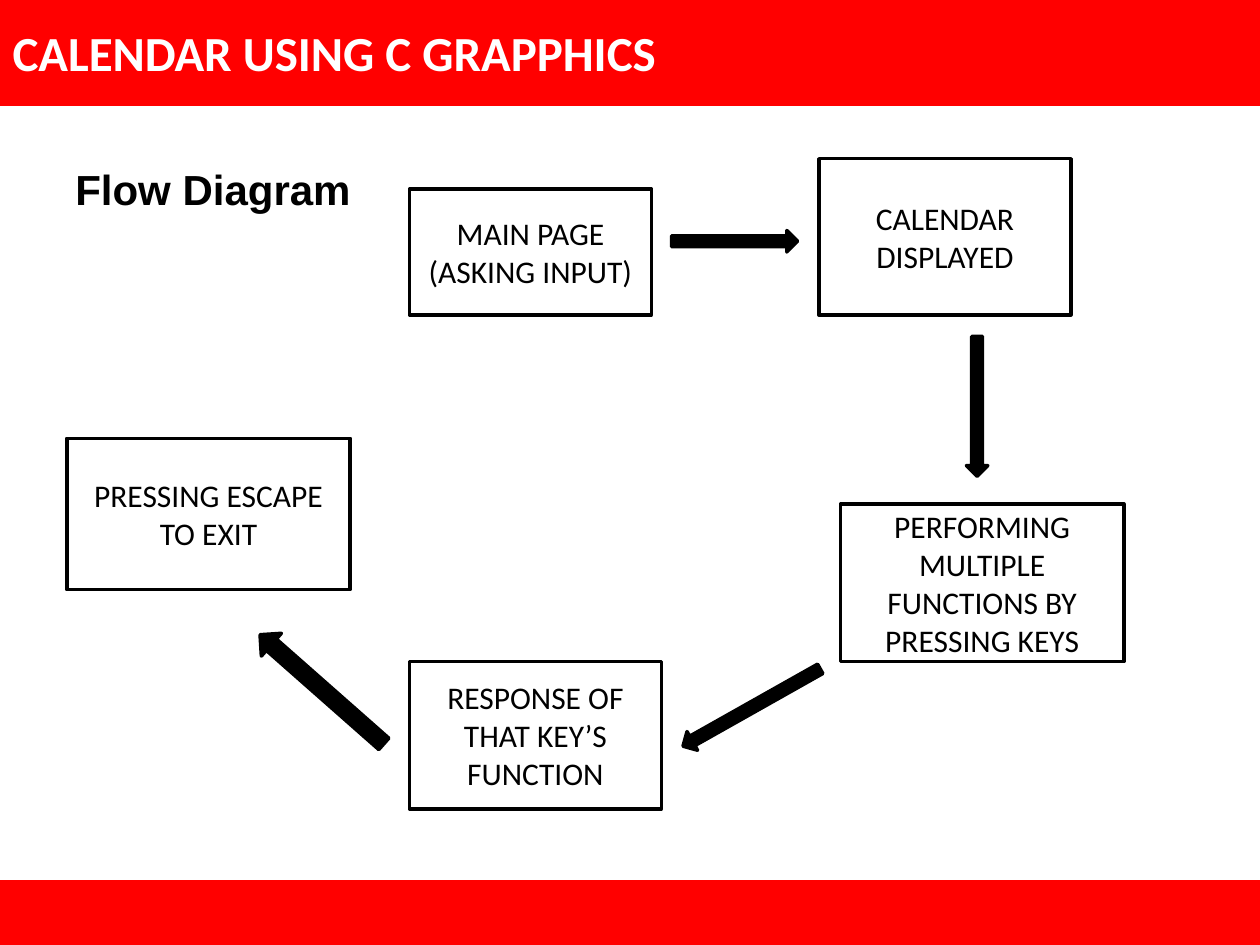
from pptx import Presentation
from pptx.dml.color import RGBColor
from pptx.enum.shapes import MSO_SHAPE
from pptx.enum.text import MSO_ANCHOR, MSO_AUTO_SIZE, PP_ALIGN
from pptx.util import Inches, Pt

RED, BLACK, WHITE = "FF0000", "000000", "FFFFFF"


def rgb(value):
    return RGBColor.from_string(value)


def write(tf, text, size=18, font="Calibri", color=BLACK, bold=False,
          align=PP_ALIGN.CENTER, anchor=MSO_ANCHOR.MIDDLE):
    tf.word_wrap = True
    tf.auto_size = MSO_AUTO_SIZE.NONE
    tf.vertical_anchor = anchor
    for i, line in enumerate(text.split("\n")):
        p = tf.add_paragraph() if i else tf.paragraphs[0]
        p.alignment = align
        r = p.add_run()
        r.text = line
        r.font.name, r.font.size, r.font.bold = font, Pt(size), bold
        r.font.color.rgb = rgb(color)


class FlowSlide:
    """Draws the elements of a flow diagram on one slide in a shared style."""

    def __init__(self, prs, line_width=2):
        self.s = prs.slides.add_slide(prs.slide_layouts[5])
        self.line_width = line_width

    def paint(self, sp, fill, line):
        sp.fill.solid()
        sp.fill.fore_color.rgb = rgb(fill)
        sp.line.color.rgb = rgb(line)
        sp.line.width = Pt(self.line_width)

    def shape(self, kind, box, fill, line):
        sp = self.s.shapes.add_shape(kind, *map(Inches, box))
        sp.shadow.inherit = False
        self.paint(sp, fill, line)
        return sp

    def title(self, text, box):
        sp = self.s.shapes.title
        sp.left, sp.top, sp.width, sp.height = map(Inches, box)
        self.paint(sp, RED, RED)
        write(sp.text_frame, text, size=28, color=WHITE, bold=True,
              align=PP_ALIGN.LEFT)

    def band(self, box):
        self.shape(MSO_SHAPE.RECTANGLE, box, RED, RED)

    def heading(self, text, box):
        sp = self.s.shapes.add_textbox(*map(Inches, box))
        write(sp.text_frame, text, size=24, font="Arial", bold=True,
              align=PP_ALIGN.LEFT, anchor=MSO_ANCHOR.TOP)

    def step(self, text, box):
        sp = self.shape(MSO_SHAPE.RECTANGLE, box, WHITE, BLACK)
        write(sp.text_frame, text)

    def arrow(self, box, kind=MSO_SHAPE.RIGHT_ARROW, rotation=0):
        sp = self.shape(kind, box, BLACK, BLACK)
        sp.rotation = rotation


def main():
    prs = Presentation()
    prs.slide_width, prs.slide_height = Inches(10), Inches(7.5)
    flow = FlowSlide(prs)

    flow.title("CALENDAR USING C GRAPPHICS", (0, 0, 10, 0.83))
    flow.band((0, 7, 10, 0.5))
    flow.heading("Flow Diagram", (0.5, 1.25, 2.6, 0.5))

    steps = [
        ("MAIN PAGE\n(ASKING INPUT)", (3.25, 1.5, 1.92, 1)),
        ("CALENDAR DISPLAYED", (6.5, 1.26, 2, 1.24)),
        ("PERFORMING MULTIPLE FUNCTIONS BY PRESSING KEYS", (6.67, 4, 2.25, 1.25)),
        ("RESPONSE OF THAT KEY’S FUNCTION", (3.25, 5.25, 2, 1.17)),
        ("PRESSING ESCAPE TO EXIT", (0.53, 3.48, 2.25, 1.2)),
    ]
    for text, box in steps:
        flow.step(text, box)

    flow.arrow((5.33, 1.83, 1, 0.17))
    flow.arrow((7.67, 2.67, 0.17, 1.11), kind=MSO_SHAPE.DOWN_ARROW)
    flow.arrow((5.34, 5.53, 1.25, 0.17), rotation=150.6)
    flow.arrow((1.9, 5.35, 1.31, 0.24), rotation=221.4)

    prs.save("out.pptx")


if __name__ == "__main__":
    main()
